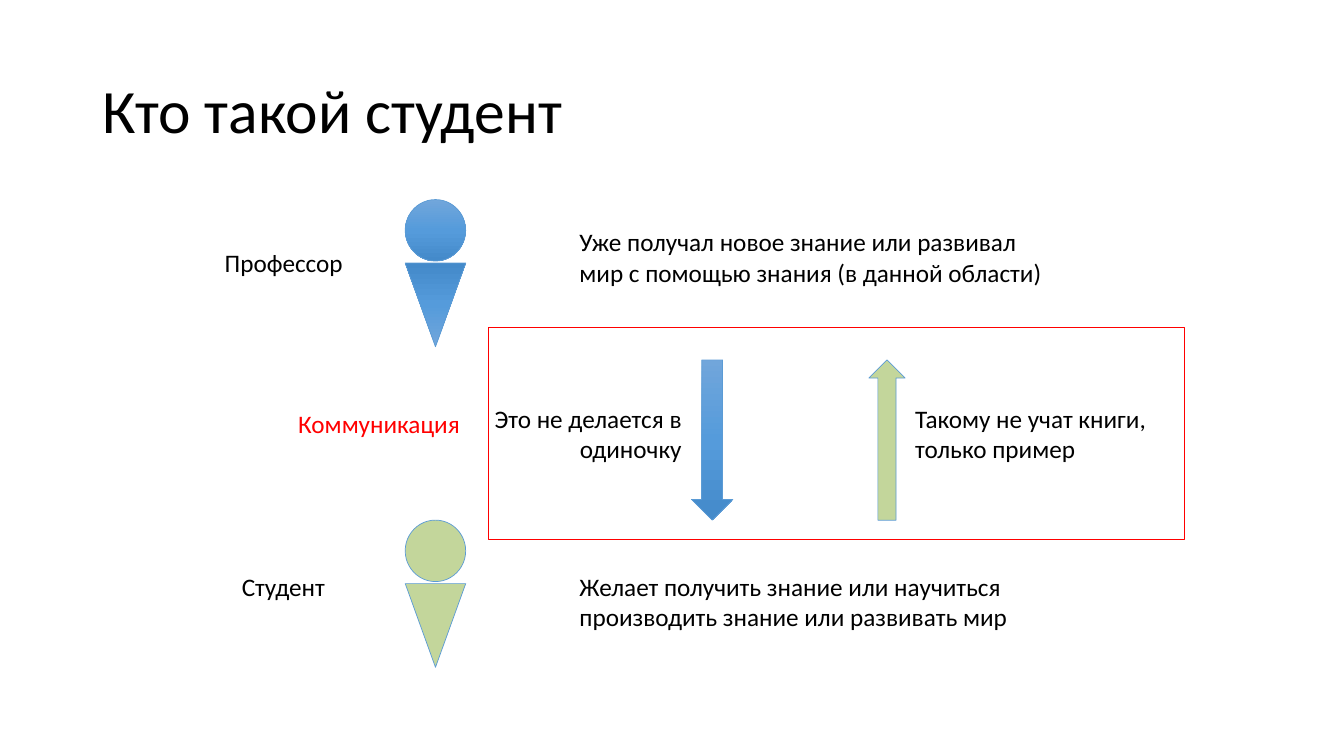
"""Build the slide on professor and student; lengths are percentages of the slide's size."""
import copy
import dataclasses
import typing

import pptx
import pptx.dml.color
import pptx.enum.shapes
import pptx.enum.text
import pptx.util

SHAPE = pptx.enum.shapes.MSO_SHAPE
ALIGN = pptx.enum.text.PP_ALIGN
ANCHOR = pptx.enum.text.MSO_ANCHOR
AUTO_SIZE = pptx.enum.text.MSO_AUTO_SIZE
WIDTH, HEIGHT = pptx.util.Inches(13.333), pptx.util.Inches(7.5)
BLACK, RED, BLUE, GREEN = "000000", "FF0000", "5B9BD5", "C3D69B"
BLUE_GRADIENT = ("71A6DB", "559BDB", "448ACA")
FIGURE_LEFT, FIGURE_WIDTH, HEAD_HEIGHT = 30.15, 4.5, 8.13
BODY_OFFSET, BODY_HEIGHT = 8.4, 11.07
Fill = str | tuple[str, ...] | None


class Box(typing.NamedTuple):
    left: float
    top: float
    width: float
    height: float


@dataclasses.dataclass(frozen=True)
class Label:
    text: str
    box: Box
    color: str = BLACK
    align: ALIGN = ALIGN.LEFT
    wrap: bool = True


@dataclasses.dataclass(frozen=True)
class Block:
    kind: SHAPE
    box: Box
    fill: Fill
    line: str = BLUE
    rotation: float = 0


@dataclasses.dataclass(frozen=True)
class Person:
    top: float
    fill: Fill


PEOPLE = (Person(26.4, BLUE_GRADIENT), Person(68.8, GREEN))
BLOCKS = (
    Block(SHAPE.DOWN_ARROW, Box(51.45, 47.6, 3.08, 21.2), BLUE_GRADIENT),
    Block(SHAPE.UP_ARROW, Box(64.65, 47.6, 2.7, 21.2), GREEN),
    Block(SHAPE.RECTANGLE, Box(36.3, 43.33, 51.83, 28), None, RED),
)
LABELS = (
    Label("Уже получал новое знание или развивал мир с помощью знания (в данной области)",
          Box(42.38, 29.33, 37.5, 9.47)),
    Label("Желает получить знание или научиться производить знание или развивать мир",
          Box(42.38, 74.93, 37.5, 9.47)),
    Label("Такому не учат книги, только пример", Box(67.35, 52.67, 18.98, 9.47)),
    Label("Это не делается в одиночку", Box(32.18, 52.67, 19.28, 9.47), align=ALIGN.RIGHT),
    Label("Профессор", Box(15.98, 32, 10.43, 5.33), wrap=False),
    Label("Студент", Box(17.25, 74.93, 7.88, 5.33), wrap=False),
    Label("Коммуникация", Box(21.45, 53.33, 13.73, 5.33), RED, wrap=False),
)


def rgb(color: str) -> pptx.dml.color.RGBColor:
    """Turn a hex string into a colour."""
    return pptx.dml.color.RGBColor.from_string(color)


def place(box: Box) -> tuple[int, int, int, int]:
    """Convert a box of percentages to slide lengths."""
    return (int(WIDTH * box.left / 100), int(HEIGHT * box.top / 100),
            int(WIDTH * box.width / 100), int(HEIGHT * box.height / 100))


def apply(target: typing.Any, values: dict[str, typing.Any]) -> None:
    """Set every named attribute of the target."""
    for name, value in values.items():
        setattr(target, name, value)


def paint(shape: typing.Any, fill: Fill) -> None:
    """Give a shape no fill, one colour or a downward gradient."""
    if fill is None:
        shape.fill.background()
    elif isinstance(fill, str):
        shape.fill.solid()
        shape.fill.fore_color.rgb = rgb(fill)
    else:
        shape.fill.gradient()
        shape.fill.gradient_angle = 270
        stop_list = shape.fill._fill._gradFill.gsLst
        stop_list.insert(1, copy.deepcopy(stop_list[0]))
        for index, (stop, color) in enumerate(zip(shape.fill.gradient_stops, fill)):
            stop.position = index / (len(fill) - 1)
            stop.color.rgb = rgb(color)


def draw_block(shapes: typing.Any, block: Block) -> None:
    """Draw one preset shape."""
    shape = shapes.add_shape(block.kind, *place(block.box))
    shape.rotation = block.rotation
    shape.shadow.inherit = False
    paint(shape, block.fill)
    shape.line.color.rgb = rgb(block.line)
    shape.line.width = pptx.util.Pt(0.5)


def draw_person(shapes: typing.Any, person: Person) -> None:
    """Draw a grouped figure of a body and a head."""
    group = shapes.add_group_shape()
    body = Box(FIGURE_LEFT, person.top + BODY_OFFSET, FIGURE_WIDTH, BODY_HEIGHT)
    head = Box(FIGURE_LEFT, person.top, FIGURE_WIDTH, HEAD_HEIGHT)
    draw_block(group.shapes, Block(SHAPE.ISOSCELES_TRIANGLE, body, person.fill, rotation=180))
    draw_block(group.shapes, Block(SHAPE.OVAL, head, person.fill))


def write(shape: typing.Any, label: Label, size: float, frame_format: dict[str, typing.Any],
          spacing: float = 1) -> None:
    """Write and format the text of a label."""
    frame = shape.text_frame
    frame.text = label.text
    apply(frame, {"word_wrap": label.wrap} | frame_format)
    paragraph = frame.paragraphs[0]
    apply(paragraph, {"alignment": label.align, "line_spacing": spacing})
    font = paragraph.runs[0].font
    apply(font, {"name": "Calibri", "size": pptx.util.Pt(size)})
    font.color.rgb = rgb(label.color)


def draw_title(slide: typing.Any, label: Label) -> None:
    """Move and fill the title placeholder."""
    title = slide.shapes.title
    apply(title, dict(zip(("left", "top", "width", "height"), place(label.box))))
    write(title, label, 44,
          {"vertical_anchor": ANCHOR.MIDDLE, "auto_size": AUTO_SIZE.NONE}, 0.9)


def main() -> None:
    """Build and save the presentation."""
    presentation = pptx.Presentation()
    apply(presentation, {"slide_width": WIDTH, "slide_height": HEIGHT})
    slide = presentation.slides.add_slide(presentation.slide_layouts.get_by_name("Title Only"))
    draw_title(slide, Label("Кто такой студент", Box(6.9, 5.33, 86.25, 19.33)))
    for person in PEOPLE:
        draw_person(slide.shapes, person)
    for block in BLOCKS:
        draw_block(slide.shapes, block)
    for label in LABELS:
        write(slide.shapes.add_textbox(*place(label.box)), label, 18,
              {"auto_size": AUTO_SIZE.SHAPE_TO_FIT_TEXT})
    presentation.save("out.pptx")


if __name__ == "__main__":
    main()
